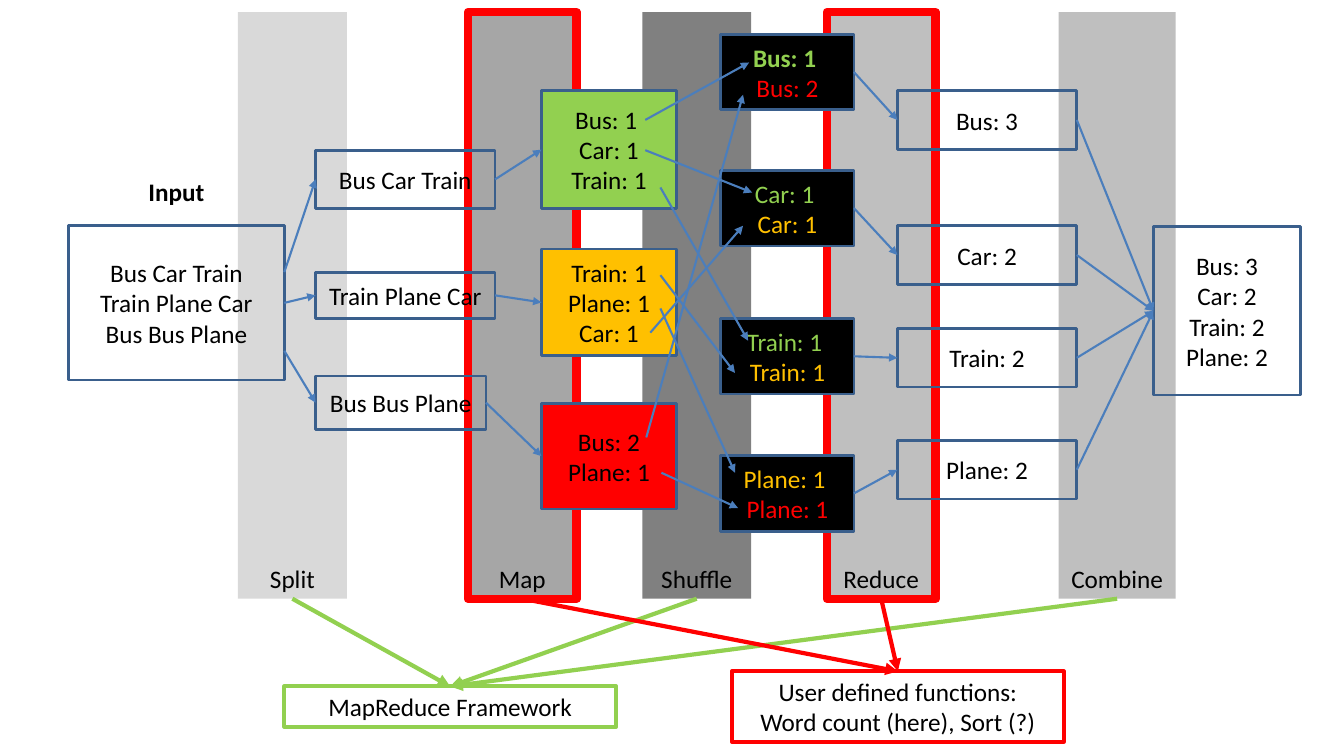
from dataclasses import dataclass
from typing import NamedTuple, Optional, Union

import pptx
import pptx.dml.color
import pptx.enum.shapes
import pptx.enum.text
import pptx.oxml.ns
import pptx.util
from lxml import etree
from pptx.shapes.autoshape import Shape
from pptx.slide import Slide

PX = 9144  # EMU per px, 100 px to the inch
TOP, LEFT, BOTTOM, RIGHT = range(4)
ANCHOR = pptx.enum.text.MSO_ANCHOR
COLOURS = {
    "black": "000000", "green": "92D050", "amber": "FFC000", "red": "FF0000",
    "border": "3A5F8C", "arrow": "4B7EBC", "pale": "D9D9D9",
    "light": "BFBFBF", "medium": "A6A6A6", "dark": "808080",
}


class Line(NamedTuple):
    text: str
    colour: str = "black"
    bold: bool = False


class Point(NamedTuple):
    x: int
    y: int


class Joint(NamedTuple):
    box: Shape
    side: int


End = Union[Point, Joint]


@dataclass
class Box:
    left: int
    top: int
    width: int
    height: int
    lines: list[Line]
    fill: Optional[str] = None
    border: Optional[str] = "border"
    border_pt: float = 2
    anchor: ANCHOR = ANCHOR.MIDDLE


def rgb(name: str) -> pptx.dml.color.RGBColor:
    return pptx.dml.color.RGBColor.from_string(COLOURS[name])


def plain(*texts: str) -> list[Line]:
    return [Line(text) for text in texts]


def write(shape: Shape, lines: list[Line], *, anchor: ANCHOR, size: int = 18,
          font: str = "Calibri") -> None:
    frame = shape.text_frame
    frame.word_wrap = True
    frame.vertical_anchor = anchor
    for index, line in enumerate(lines):
        paragraph = frame.add_paragraph() if index else frame.paragraphs[0]
        paragraph.alignment = pptx.enum.text.PP_ALIGN.CENTER
        run = paragraph.add_run()
        run.text = line.text
        run.font.name = font
        run.font.size = pptx.util.Pt(size)
        run.font.bold = line.bold
        run.font.color.rgb = rgb(line.colour)


def draw_box(slide: Slide, box: Box) -> Shape:
    shape = slide.shapes.add_shape(
        pptx.enum.shapes.MSO_SHAPE.RECTANGLE,
        box.left * PX, box.top * PX, box.width * PX, box.height * PX)
    shape.shadow.inherit = False
    if box.fill:
        shape.fill.solid()
        shape.fill.fore_color.rgb = rgb(box.fill)
    else:
        shape.fill.background()
    if box.border:
        shape.line.color.rgb = rgb(box.border)
        shape.line.width = pptx.util.Pt(box.border_pt)
    else:
        shape.line.fill.background()
    write(shape, box.lines, anchor=box.anchor)
    return shape


def draw_arrow(slide: Slide, start: End, end: End, colour: str = "arrow",
               width: float = 1.5) -> None:
    first = start if isinstance(start, Point) else Point(0, 0)
    last = end if isinstance(end, Point) else Point(0, 0)
    arrow = slide.shapes.add_connector(
        pptx.enum.shapes.MSO_CONNECTOR.STRAIGHT,
        first.x * PX, first.y * PX, last.x * PX, last.y * PX)
    if isinstance(start, Joint):
        arrow.begin_connect(start.box, start.side)
    if isinstance(end, Joint):
        arrow.end_connect(end.box, end.side)
    arrow.line.color.rgb = rgb(colour)
    arrow.line.width = pptx.util.Pt(width)
    qn = pptx.oxml.ns.qn
    etree.SubElement(arrow.line._get_or_add_ln(), qn("a:tailEnd"), type="triangle")
    etree.SubElement(arrow._element.spPr, qn("a:effectLst"))


def main() -> None:
    deck = pptx.Presentation()
    deck.slide_width, deck.slide_height = 1333 * PX, 750 * PX
    slide = deck.slides.add_slide(deck.slide_layouts[6])

    # Phase columns: left, width, fill, border
    phases = {
        "Combine": (1050, 116, "light", None),
        "Reduce": (820, 108, "light", "red"),
        "Shuffle": (637, 108, "dark", None),
        "Map": (464, 108, "medium", "red"),
        "Split": (236, 108, "pale", None),
    }
    columns = {
        name: draw_box(slide, Box(left, 12, width, 582, plain(name), fill, border,
                                  6, ANCHOR.BOTTOM))
        for name, (left, width, fill, border) in phases.items()
    }

    # Input, split, map, shuffle, reduce and result boxes
    source = draw_box(slide, Box(68, 224, 214, 153, plain(
        "Bus Car Train", "Train Plane Car", "Bus Bus Plane")))
    splits = [draw_box(slide, Box(313, top, width, height, plain(text)))
              for top, width, height, text in (
                  (149, 178, 58, "Bus Car Train"),
                  (270, 178, 46, "Train Plane Car"),
                  (373, 169, 53, "Bus Bus Plane"))]
    maps = [draw_box(slide, Box(537, top, 134, height, plain(*texts), fill))
            for top, height, fill, texts in (
                (90, 117, "green", ("Bus: 1 ", "Car: 1", "Train: 1")),
                (247, 106, "amber", ("Train: 1", "Plane: 1", "Car: 1")),
                (400, 105, "red", ("Bus: 2", "Plane: 1")))]
    groups = [draw_box(slide, Box(715, top, 132, 75, lines, "black"))
              for top, lines in (
                  (34, [Line("Bus: 1 ", "green", True), Line("Bus: 2", "red")]),
                  (169, [Line("Car: 1 ", "green"), Line("Car: 1", "amber")]),
                  (316, [Line("Train: 1 ", "green"), Line("Train: 1", "amber")]),
                  (452, [Line("Plane: 1 ", "amber"), Line("Plane: 1", "red")]))]
    totals = ("Bus: 3", "Car: 2", "Train: 2", "Plane: 2")
    reduces = [draw_box(slide, Box(890, top, 178, 58, plain(total)))
               for top, total in zip((90, 224, 326, 437), totals)]
    result = draw_box(slide, Box(1144, 225, 146, 167, plain(*totals)))

    # Arrows from input through split to map
    starts = (Point(282, 270), Joint(source, RIGHT), Point(282, 348))
    for start, split, mapped in zip(starts, splits, maps):
        draw_arrow(slide, start, Joint(split, LEFT))
        draw_arrow(slide, Joint(split, RIGHT), Joint(mapped, LEFT))

    # Shuffle arrows between single words
    for x1, y1, x2, y2 in (
            (640, 119, 743, 62), (640, 149, 746, 191), (655, 186, 742, 338),
            (655, 273, 729, 370), (655, 306, 729, 469), (645, 330, 737, 224),
            (641, 434, 737, 94), (656, 469, 732, 504)):
        draw_arrow(slide, Point(x1, y1), Point(x2, y2))

    # Arrows from shuffle through reduce to the result
    for group, reduced in zip(groups, reduces):
        draw_arrow(slide, Joint(group, RIGHT), Joint(reduced, LEFT))
        draw_arrow(slide, Joint(reduced, RIGHT), Joint(result, LEFT))

    # Input heading
    heading = slide.shapes.add_textbox(95 * PX, 170 * PX, 160 * PX, 40 * PX)
    write(heading, [Line("Input", bold=True)], anchor=ANCHOR.TOP)

    # Who supplies each phase
    framework = Box(282, 681, 329, 40, plain("MapReduce Framework"),
                    None, "green", 3, ANCHOR.TOP)
    user = Box(726, 666, 329, 70, plain("User defined functions:",
                                        "Word count (here), Sort (?)"),
               None, "red", 3, ANCHOR.TOP)
    for supplier, names in ((framework, ("Split", "Shuffle", "Combine")),
                            (user, ("Map", "Reduce"))):
        label = draw_box(slide, supplier)
        for name in names:
            draw_arrow(slide, Joint(columns[name], BOTTOM), Joint(label, TOP),
                       colour=supplier.border, width=3)

    deck.save("out.pptx")


if __name__ == "__main__":
    main()
